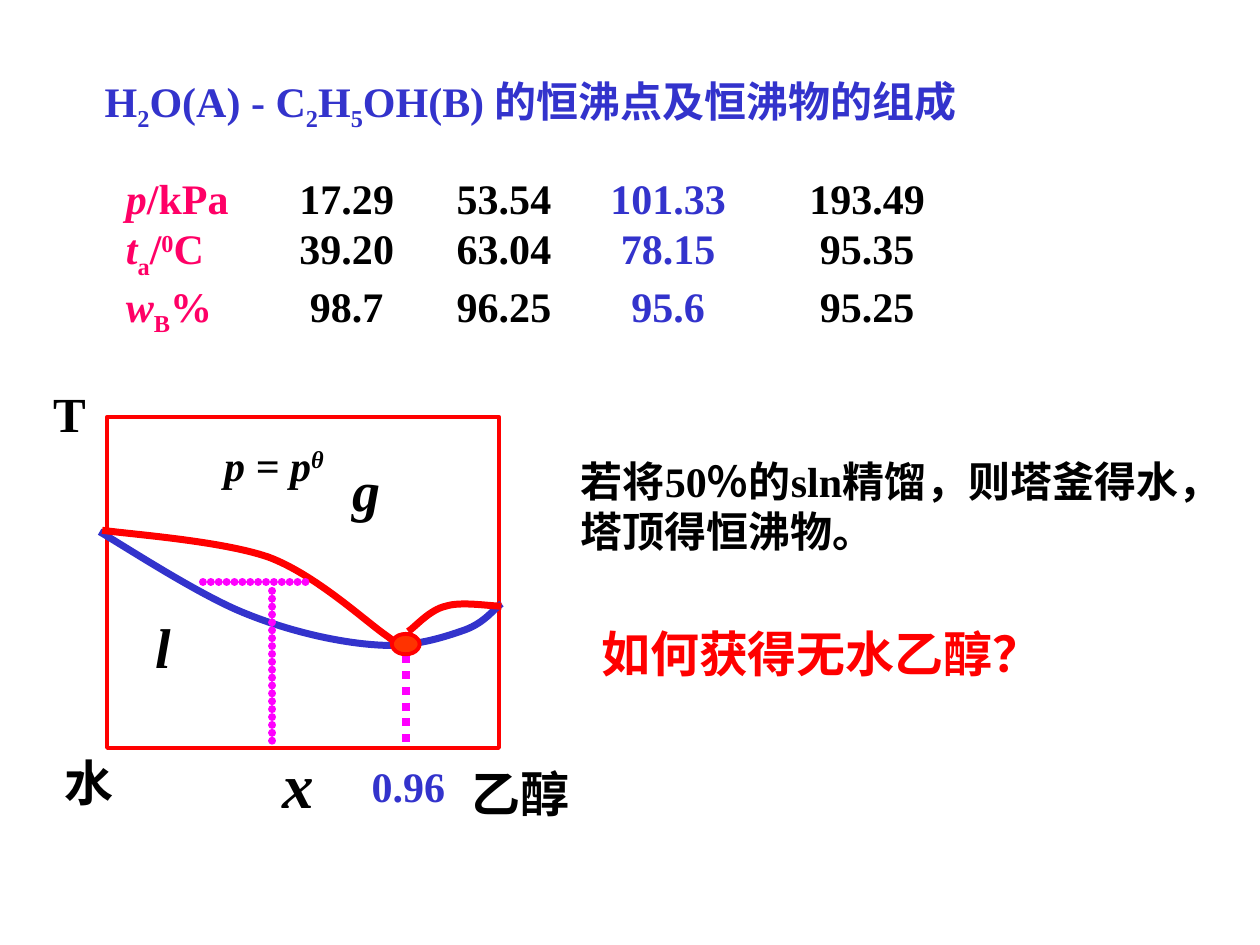
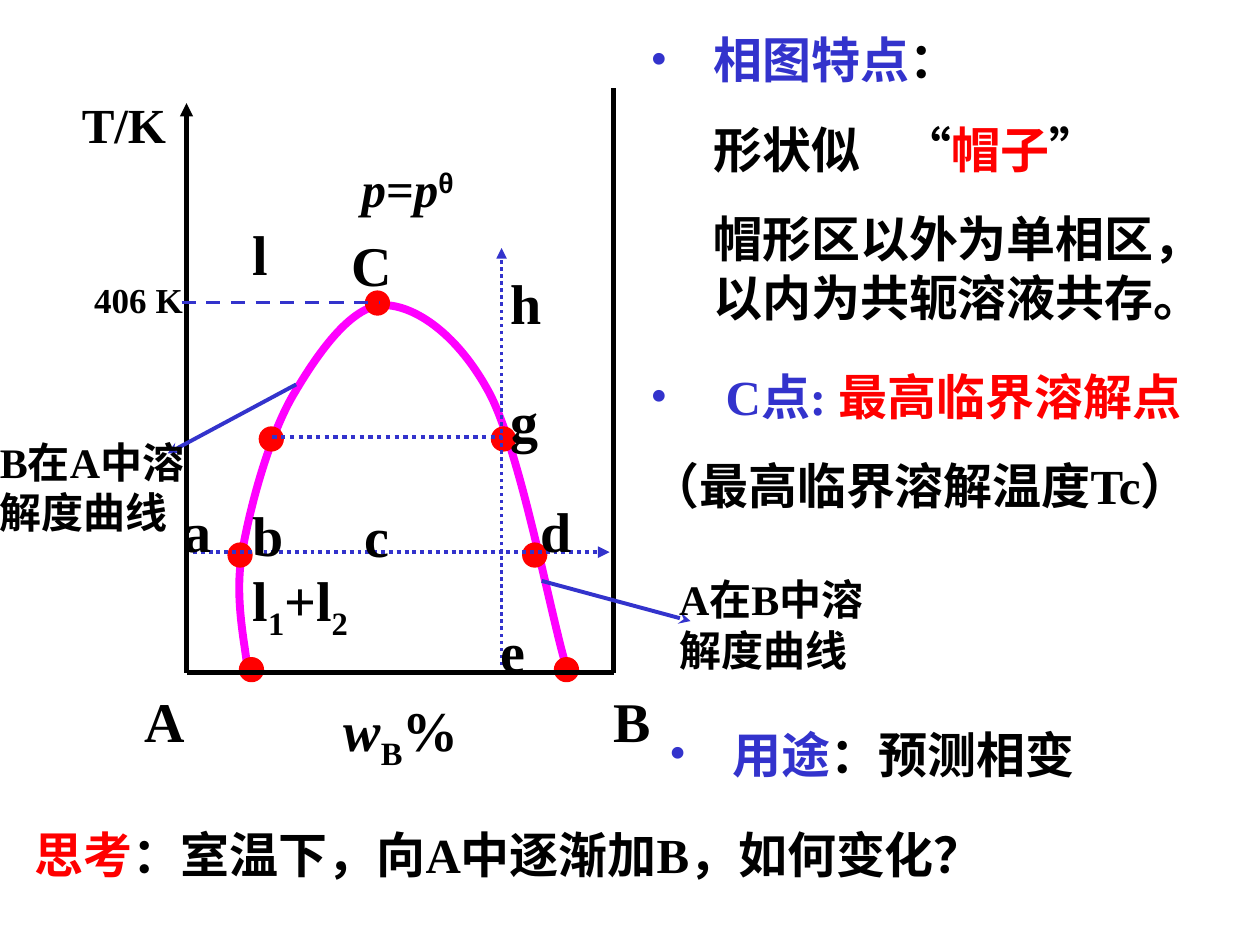
from lxml.etree import SubElement
from pptx import Presentation
from pptx.dml.color import RGBColor
from pptx.enum.dml import MSO_LINE
from pptx.enum.shapes import MSO_CONNECTOR, MSO_SHAPE
from pptx.enum.text import MSO_ANCHOR, MSO_AUTO_SIZE, PP_ALIGN
from pptx.oxml.ns import qn
from pptx.util import Cm, Pt

BLACK = RGBColor(0x00, 0x00, 0x00)
BLUE = RGBColor(0x33, 0x33, 0xCC)
RED = RGBColor(0xFF, 0x00, 0x00)
PINK = RGBColor(0xFF, 0x00, 0x66)
MAGENTA = RGBColor(0xFF, 0x00, 0xFF)
ORANGE = RGBColor(0xFF, 0x33, 0x00)

SERIF = "Times New Roman"
SANS = "Noto Sans CJK SC"
GREEK = "Arial"
SUB, SUP = -25000, 30000
LEFT, MID = PP_ALIGN.LEFT, PP_ALIGN.CENTER


def run(text, ink=BLACK, slant=False, base=0, face=SERIF):
    return text, ink, slant, base, face


def is_han(runs):
    return any(ord(char) > 0x2E80 for text, *_ in runs for char in text)


class Deck:
    def __init__(self):
        self.prs = Presentation()
        self.prs.slide_width, self.prs.slide_height = Cm(25.4), Cm(19.05)

    def start(self, layout):
        self.slide = self.prs.slides.add_slide(self.prs.slide_layouts[layout])
        self.shapes = self.slide.shapes

    def fill_para(self, para, size, runs, align=LEFT):
        para.alignment = align
        low = any(base == SUB for _, _, _, base, _ in runs)
        para.line_spacing = Pt(size * (1.37 if low else 1.2))
        para.space_before = Pt(0)
        for text, ink, slant, base, face in runs:
            part = para.add_run()
            part.text = text
            font = part.font
            font.size, font.bold, font.italic = Pt(size), True, slant
            font.color.rgb, font.name = ink, face
            props = part._r.get_or_add_rPr()
            SubElement(props, qn("a:ea"), typeface=SANS)
            if base:
                props.set("baseline", str(base))

    def frame(self, shape, size, runs):
        frame = shape.text_frame
        frame.auto_size = MSO_AUTO_SIZE.NONE
        frame.word_wrap = True
        frame.vertical_anchor = MSO_ANCHOR.TOP
        frame.margin_left = frame.margin_right = frame.margin_bottom = 0
        frame.margin_top = Pt(size * 0.07) if is_han(runs) else 0
        return frame

    def place(self, shape, left, top, width, height):
        shape.left, shape.top = Cm(left), Cm(top)
        shape.width, shape.height = Cm(width), Cm(height)

    def title(self, left, top, width, height, size, *runs):
        shape = self.shapes.title
        self.place(shape, left, top, width, height)
        self.fill_para(self.frame(shape, size, runs).paragraphs[0], size, runs)

    def text(self, left, top, width, size, *runs, lines=1, align=LEFT):
        box = self.shapes.add_textbox(Cm(left), Cm(top), Cm(width),
                                      Pt(size * 1.2 * lines))
        self.fill_para(self.frame(box, size, runs).paragraphs[0], size, runs, align)

    def label(self, left, top, word, size=32, ink=BLACK, slant=False, width=2):
        self.text(left, top, width, size, run(word, ink, slant))

    def tabs(self, para, stops, align):
        group = SubElement(para._p.get_or_add_pPr(), qn("a:tabLst"))
        for stop in stops:
            SubElement(group, qn("a:tab"), pos=str(Cm(stop)), algn=align)

    def columns(self, left, top, width, height, size, stops, rows):
        box = self.shapes.add_textbox(Cm(left), Cm(top), Cm(width), Cm(height))
        frame = self.frame(box, size, rows[0])
        for k, runs in enumerate(rows):
            para = frame.add_paragraph() if k else frame.paragraphs[0]
            self.tabs(para, stops, "ctr")
            self.fill_para(para, size, runs)

    def bullets(self, shape, size, items):
        frame = self.frame(shape, size, items[0][2])
        for k, (mark, margin, runs, *stops) in enumerate(items):
            para = frame.add_paragraph() if k else frame.paragraphs[0]
            props = para._p.get_or_add_pPr()
            props.set("marL", str(Cm(margin)))
            props.set("indent", str(-Cm(margin) if mark else 0))
            if mark:
                tint = SubElement(props, qn("a:buClr"))
                SubElement(tint, qn("a:srgbClr"), val=str(BLUE))
                SubElement(props, qn("a:buFont"), typeface=SERIF)
                SubElement(props, qn("a:buChar"), char="•")
            else:
                SubElement(props, qn("a:buNone"))
            if stops:
                self.tabs(para, stops, "l")
            self.fill_para(para, size, runs)
            if k:
                para.space_before = Pt(17.5)

    def shape(self, kind, left, top, width, height, edge, fill=None):
        item = self.shapes.add_shape(kind, Cm(left), Cm(top), Cm(width), Cm(height))
        item.shadow.inherit = False
        item.line.color.rgb, item.line.width = edge, Pt(2.25)
        if fill is None:
            item.fill.background()
        else:
            item.fill.solid()
            item.fill.fore_color.rgb = fill

    def dot(self, x, y, size=0.43):
        self.shape(MSO_SHAPE.OVAL, x - size / 2, y - size / 2, size, size, RED, RED)

    def curve(self, nodes, ink, weight):
        points = [(Cm(x), Cm(y)) for x, y in nodes]
        pen = self.shapes.build_freeform(*points[0])
        pen.add_line_segments(points[1:], close=False)
        item = pen.convert_to_shape()
        item.shadow.inherit = False
        item.fill.background()
        item.line.color.rgb, item.line.width = ink, Pt(weight)
        trace = next(item._element.iter(qn("a:path")))
        legs = trace.findall(qn("a:lnTo"))
        for k in range(0, len(legs), 3):
            bend = SubElement(trace, qn("a:cubicBezTo"))
            for leg in legs[k:k + 3]:
                bend.append(leg[0])
                trace.remove(leg)

    def line(self, x1, y1, x2, y2, ink, weight, dash=None, beads=False, tip=None):
        item = self.shapes.add_connector(MSO_CONNECTOR.STRAIGHT,
                                         Cm(x1), Cm(y1), Cm(x2), Cm(y2))
        item.line.color.rgb, item.line.width = ink, Pt(weight)
        if dash:
            item.line.dash_style = dash
        props = item._element.spPr
        edge = props.find(qn("a:ln"))
        if beads:
            edge.set("cap", "rnd")
            SubElement(SubElement(edge, qn("a:custDash")), qn("a:ds"),
                       d="1000", sp="99000")
        if tip:
            SubElement(edge, qn("a:tailEnd"), type=tip)
        SubElement(props, qn("a:effectLst"))


def boiling(deck):
    deck.start(5)
    deck.title(2.11, 1.45, 19, 1.17, 24,
               run("H", BLUE), run("2", BLUE, base=SUB),
               run("O(A) - C", BLUE), run("2", BLUE, base=SUB),
               run("H", BLUE), run("5", BLUE, base=SUB),
               run("OH(B) 的恒沸点及恒沸物的组成", BLUE))
    heads = [
        [run("p", PINK, True), run("/kPa", PINK)],
        [run("t", PINK, True), run("a", PINK, base=SUB), run("/", PINK),
         run("0", PINK, base=SUP), run("C", PINK)],
        [run("w", PINK, True), run("B", PINK, base=SUB), run("%", PINK)],
    ]
    values = [("17.29", "53.54", "101.33", "193.49"),
              ("39.20", "63.04", "78.15", "95.35"),
              ("98.7", "96.25", "95.6", "95.25")]
    rows = [head + [run("\t" + value, BLUE if k == 2 else BLACK)
                    for k, value in enumerate(line)]
            for head, line in zip(heads, values)]
    deck.columns(2.54, 3.47, 19.3, 3.35, 24, (4.45, 7.62, 10.93, 14.94), rows)

    deck.text(11.71, 9.12, 12.19, 24,
              run("若将50％的sln精馏，则塔釜得水，塔顶得恒沸物。"), lines=2)
    deck.label(12.12, 12.5, "如何获得无水乙醇？", 28, RED, width=11.4)

    deck.shape(MSO_SHAPE.RECTANGLE, 2.16, 8.4, 7.9, 6.68, RED)
    liquid = [(2.01, 10.72), (2.49, 11), (3.96, 11.96), (4.88, 12.34),
              (5.82, 12.73), (6.83, 12.95), (7.57, 13), (8.31, 13.06),
              (8.94, 12.85), (9.37, 12.7), (9.78, 12.55), (9.96, 12.27),
              (10.11, 12.17)]
    vapour = [(2.06, 10.69), (2.62, 10.77), (4.45, 10.9), (5.41, 11.23),
              (6.35, 11.58), (7.34, 12.5), (7.77, 12.8), (8.23, 13.13),
              (8.13, 13.13), (8.05, 13.11)]
    rise = [(8.23, 12.73), (8.36, 12.65), (8.66, 12.29), (8.99, 12.22),
            (9.3, 12.12), (9.86, 12.22), (10.11, 12.22)]
    for nodes, ink in ((liquid, BLUE), (vapour, RED), (rise, RED)):
        deck.curve(nodes, ink, 4)
    deck.line(5.49, 11.91, 5.49, 15.04, MAGENTA, 4.5, beads=True)
    deck.line(4.09, 11.73, 6.3, 11.73, MAGENTA, 4.5, beads=True)
    deck.line(8.18, 13.21, 8.18, 15.01, MAGENTA, 4.5, MSO_LINE.ROUND_DOT)
    deck.shape(MSO_SHAPE.OVAL, 7.9, 12.78, 0.56, 0.41, RED, ORANGE)

    deck.text(0.69, 7.74, 1.42, 28, run("T"), align=MID)
    deck.label(7.11, 9.19, "g", slant=True)
    deck.label(3.13, 12.34, "l", slant=True)
    deck.label(5.69, 15.03, "x", 36, slant=True)
    deck.label(1.3, 15.11, "水", 28)
    deck.label(7.49, 15.34, "0.96", 24, BLUE)
    deck.label(9.5, 15.32, "乙醇", 28, width=5.21)
    deck.text(4.52, 8.86, 2.3, 24,
              run("p = p", slant=True), run("θ", slant=True, base=SUP))


def hat(deck):
    deck.start(3)
    title = deck.shapes.title
    title._element.getparent().remove(title._element)
    traits, point = deck.slide.placeholders[1], deck.slide.placeholders[2]
    deck.place(traits, 13.11, 0.53, 11.71, 5.97)
    deck.bullets(traits, 28, [
        (True, 1.27, [run("相图特点", BLUE), run("：")]),
        (False, 0, [run("\t形状似\t“"), run("帽子", RED), run("”")], 1.27, 4.7),
        (False, 1.27, [run("帽形区以外为单相区，以内为共轭溶液共存。")]),
    ])
    deck.place(point, 13.11, 7.32, 11.61, 3)
    deck.bullets(point, 28, [
        (True, 1.52, [run("C点: ", BLUE), run("最高临界溶解点", RED)]),
        (False, 0, [run("（最高临界溶解温度Tc）")]),
    ])
    use = deck.shapes.add_textbox(Cm(13.49), Cm(14.53), Cm(10.8), Cm(1.19))
    deck.bullets(use, 28, [(True, 1.27, [run("用途", BLUE), run("：预测相变")])])

    dome = [(4.98, 13.41), (4.95, 13.03), (4.72, 12.07), (4.88, 11.15),
            (5.03, 10.26), (5.41, 8.84), (5.89, 8), (6.38, 7.16),
            (7.06, 6.17), (7.72, 6.15), (8.38, 6.15), (9.25, 6.76),
            (9.88, 7.95), (10.49, 9.14), (11.07, 12.24), (11.4, 13.39)]
    deck.curve(dome, MAGENTA, 4.5)
    for x, y in ((4.84, 11.19), (10.78, 11.19), (5.07, 13.5), (11.42, 13.5),
                 (5.47, 8.85), (10.15, 8.85), (7.61, 6.11)):
        deck.dot(x, y)

    deck.line(3.76, 13.56, 3.76, 2.08, BLACK, 2.5, tip="triangle")
    deck.line(3.76, 13.56, 12.37, 13.56, BLACK, 2.5)
    deck.line(12.37, 1.78, 12.37, 13.56, BLACK, 2.5)
    deck.line(3.66, 6.1, 7.67, 6.1, BLUE, 2, MSO_LINE.DASH)
    deck.line(5.49, 8.81, 10.11, 8.81, BLUE, 2.5, MSO_LINE.ROUND_DOT)
    deck.line(10.11, 13.41, 10.11, 5, BLUE, 2, MSO_LINE.ROUND_DOT, tip="triangle")
    deck.line(3.89, 11.13, 12.29, 11.13, BLUE, 2.25, MSO_LINE.ROUND_DOT, tip="triangle")
    deck.line(5.97, 7.75, 3.38, 9.14, BLUE, 2.25, tip="stealth")
    deck.line(10.92, 11.71, 13.92, 12.52, BLUE, 2.25, tip="stealth")

    for x, y, word in ((5.09, 4.42, "l"), (2.92, 13.84, "A"), (12.37, 13.84, "B"),
                       (7.09, 4.65, "C"), (10.09, 12.42, "e"), (10.3, 7.8, "g"),
                       (10.3, 5.41, "h"), (3.71, 10.01, "a"), (5.09, 10.08, "b"),
                       (10.9, 10.01, "d"), (7.34, 10.11, "c")):
        deck.label(x, y, word)
    deck.label(1.65, 1.9, "T/K", 28, width=3.15)
    deck.label(1.9, 5.61, "406 K", 20, width=3.61)
    deck.text(5.09, 11.4, 4.01, 32, run("l"), run("1", base=SUB),
              run("+l"), run("2", base=SUB))
    deck.text(5.89, 14.02, 4.39, 32, run("w", slant=True), run("B", base=SUB),
              run("%"), align=MID)
    deck.text(7.29, 3.2, 3.15, 28, run("p", slant=True), run("="),
              run("p", slant=True), run("θ", base=SUP, face=GREEK))
    for x, y, guest, host in ((0, 8.74, "B", "A"), (13.69, 11.51, "A", "B")):
        deck.text(x, y, 3.75, 24, run(guest), run("在", face=SANS), run(host),
                  run("中溶解度曲线", face=SANS), lines=3)
    deck.text(0.69, 16.56, 24, 28, run("思考", RED, face=SANS),
              run("：室温下，向", face=SANS), run("A"),
              run("中逐渐加", face=SANS), run("B"),
              run("，如何变化？", face=SANS))


def main():
    deck = Deck()
    boiling(deck)
    hat(deck)
    deck.prs.save("out.pptx")


if __name__ == "__main__":
    main()
